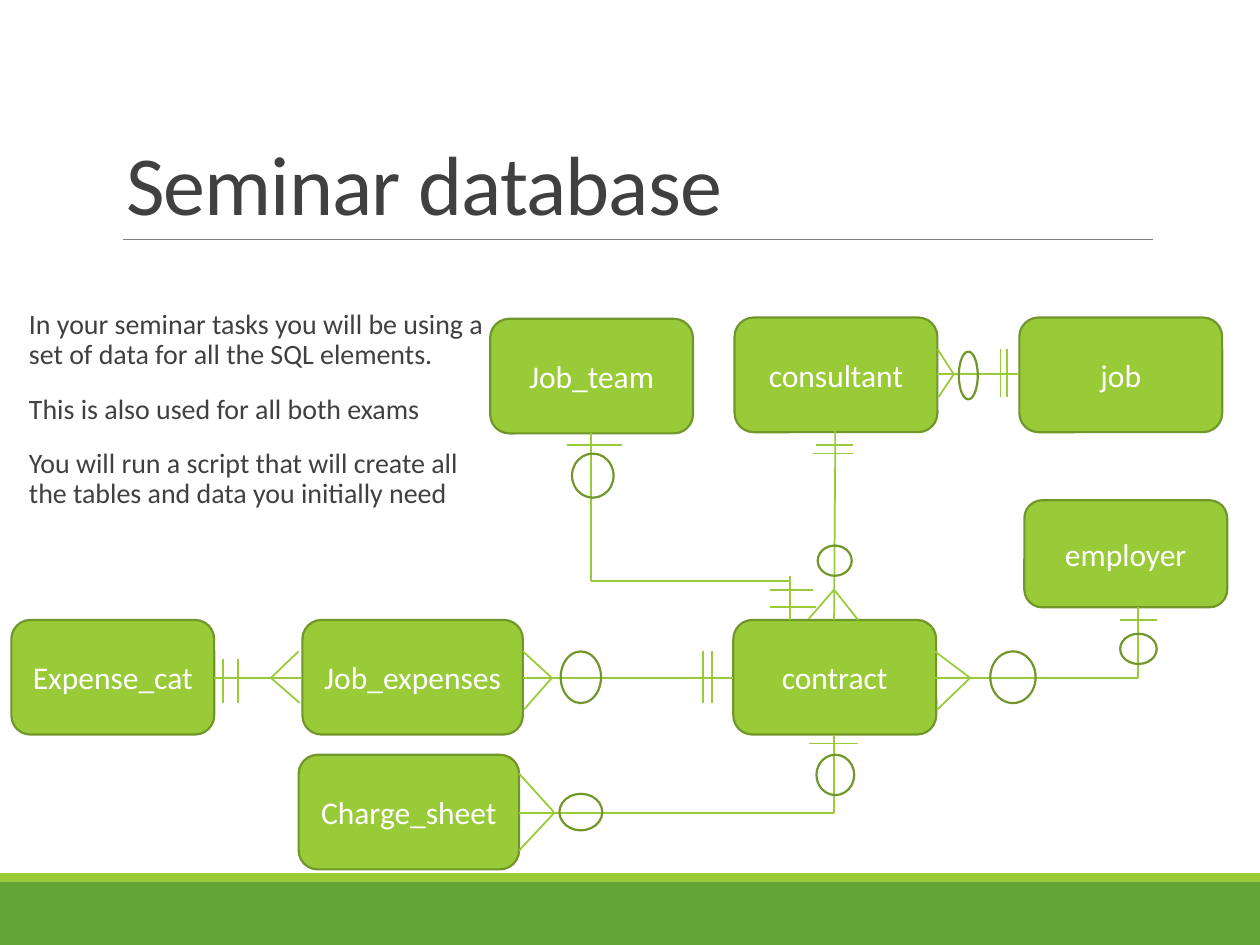
import pptx
import pptx.util
import pptx.dml.color
import pptx.enum.shapes
import pptx.enum.text
import pptx.oxml.ns
import lxml.etree

Inches, Pt = pptx.util.Inches, pptx.util.Pt
RGB = pptx.dml.color.RGBColor
SHAPE = pptx.enum.shapes.MSO_SHAPE
ANCHOR = pptx.enum.text.MSO_ANCHOR
ALIGN = pptx.enum.text.PP_ALIGN
qn = pptx.oxml.ns.qn

LIME = RGB(0x99, 0xCB, 0x38)
OLIVE = RGB(0x71, 0x96, 0x29)
GREEN = RGB(0x63, 0xA5, 0x37)
GRAY = RGB(0x80, 0x80, 0x80)
DARK = RGB(0x40, 0x40, 0x40)
WHITE = RGB(0xFF, 0xFF, 0xFF)
FONT = "Calibri"

# Entity boxes: left, top, width, height
ENTITIES = {
    "Expense_cat": (0.09, 4.92, 1.61, 0.91),
    "consultant": (5.83, 2.52, 1.61, 0.91),
    "job": (8.09, 2.52, 1.61, 0.91),
    "Job_team": (3.89, 2.53, 1.61, 0.91),
    "employer": (8.13, 3.97, 1.61, 0.85),
    "contract": (5.82, 4.92, 1.61, 0.91),
    "Charge_sheet": (2.37, 5.99, 1.75, 0.91),
    "Job_expenses": (2.4, 4.92, 1.75, 0.91),
}
# Each relationship is a path of points
RELATIONSHIPS = [
    [(5.82, 5.38), (4.15, 5.38)],
    [(6.62, 5.83), (6.62, 6.45), (4.12, 6.45)],
    [(4.69, 3.44), (4.69, 4.61), (6.27, 4.61)],
    [(6.27, 4.57), (6.27, 4.92)],
    [(7.42, 5.38), (9.03, 5.38), (9.03, 4.82)],
    [(8.09, 2.97), (7.44, 2.97)],
    [(6.63, 3.42), (6.62, 4.92)],
    [(2.4, 5.38), (1.7, 5.38)],
]
# "Many" ends: toe, tip, toe
CROW_FEET = [
    [(2.37, 5.17), (2.15, 5.38), (2.38, 5.58)],
    [(4.12, 6.14), (4.4, 6.45), (4.12, 6.75)],
    [(7.42, 5.17), (7.7, 5.38), (7.44, 5.63)],
    [(4.15, 5.17), (4.38, 5.38), (4.16, 5.63)],
    [(6.42, 4.91), (6.62, 4.68), (6.81, 4.92)],
    [(7.44, 2.77), (7.57, 2.97), (7.45, 3.15)],
]
# "One" ends: bars across a vertical link (y, x1, x2) or a horizontal one (x, y1, y2)
FLAT_BARS = [(5.9, 6.42, 6.81), (4.92, 8.89, 9.18), (4.82, 6.11, 6.48), (4.68, 6.11, 6.45),
             (3.53, 4.5, 4.94), (3.53, 6.48, 6.77), (3.6, 6.45, 6.77)]
UPRIGHT_BARS = [(1.77, 5.23, 5.58), (1.89, 5.23, 5.58), (5.58, 5.17, 5.58),
                (5.65, 5.17, 5.58), (7.94, 2.77, 3.15), (7.99, 2.77, 3.15)]
# "Optional" rings: left, top, width, height
RINGS = [(4.44, 6.3, 0.34, 0.29), (6.48, 5.99, 0.3, 0.32), (7.86, 5.17, 0.36, 0.41),
         (8.89, 5.03, 0.29, 0.24), (4.45, 5.17, 0.32, 0.41), (4.54, 3.6, 0.33, 0.35),
         (6.49, 4.33, 0.27, 0.24), (7.61, 2.79, 0.15, 0.38)]


def inches(values):
    return [Inches(v) for v in values]


def style_text(p, size, color):
    for r in p.runs:
        r.font.name, r.font.size = FONT, Pt(size)
        r.font.color.rgb = color


def add_box(s, kind, box, fill=None, line=None):
    sp = s.shapes.add_shape(kind, *inches(box))
    sp.shadow.inherit = False
    if fill is None:
        sp.fill.background()
    else:
        sp.fill.solid()
        sp.fill.fore_color.rgb = fill
    if line is None:
        sp.line.fill.background()
    else:
        sp.line.color.rgb, sp.line.width = line, Pt(1.25)
    return sp


def add_path(s, points, color=LIME, width=1):
    for start, end in zip(points, points[1:]):
        cn = s.shapes.add_connector(pptx.enum.shapes.MSO_CONNECTOR.STRAIGHT,
                                    *inches(start + end))
        cn.line.color.rgb, cn.line.width = color, Pt(width)
        lxml.etree.SubElement(cn._element.spPr, qn("a:effectLst"))


def place(ph, box):
    ph.left, ph.top, ph.width, ph.height = inches(box)
    tf = ph.text_frame
    tf.word_wrap = True
    tf.auto_size = pptx.enum.text.MSO_AUTO_SIZE.NONE
    return tf


def add_footer_band(s, left, top, width, height):
    stripe = 0.07
    add_box(s, SHAPE.RECTANGLE, (left, top + stripe, width, height - stripe), GREEN)
    add_box(s, SHAPE.RECTANGLE, (left, top, width, stripe), LIME)


def add_title(s, box, text):
    left, top, width, height = box
    bottom = top + height
    add_path(s, [(left + 0.08, bottom), (left + width, bottom)], GRAY, 0.5)
    tf = place(s.shapes.title, box)
    tf.text = text
    tf.vertical_anchor = ANCHOR.BOTTOM
    p = tf.paragraphs[0]
    p.alignment, p.line_spacing = ALIGN.LEFT, 0.85
    style_text(p, 48, DARK)
    p.runs[0].font._element.set("spc", "-50")


def add_body(s, box, lines):
    tf = place(s.placeholders[1], box)
    tf.margin_left = tf.margin_right = 0
    tf.vertical_anchor = ANCHOR.TOP
    tf.text = "\n".join(lines)
    for p in tf.paragraphs:
        p.line_spacing, p.space_before, p.space_after = 0.9, Pt(12), Pt(2)
        style_text(p, 16, DARK)
        pPr = p._p.get_or_add_pPr()
        pPr.set("marL", str(Inches(0.1)))
        pPr.set("indent", str(-Inches(0.1)))
        lxml.etree.SubElement(pPr, qn("a:buChar"), char=" ")


def add_entity(s, name, box):
    sp = add_box(s, SHAPE.ROUNDED_RECTANGLE, box, LIME, OLIVE)
    tf = sp.text_frame
    tf.text = name
    tf.word_wrap = True
    tf.vertical_anchor = ANCHOR.MIDDLE
    tf.paragraphs[0].alignment = ALIGN.CENTER
    style_text(tf.paragraphs[0], 18, WHITE)


def add_diagram(s):
    for name, box in ENTITIES.items():
        add_entity(s, name, box)
    for points in RELATIONSHIPS + CROW_FEET:
        add_path(s, points)
    for y, x1, x2 in FLAT_BARS:
        add_path(s, [(x1, y), (x2, y)])
    for x, y1, y2 in UPRIGHT_BARS:
        add_path(s, [(x, y1), (x, y2)])
    for box in RINGS:
        add_box(s, SHAPE.OVAL, box, line=OLIVE)


prs = pptx.Presentation()
prs.slide_width, prs.slide_height = Inches(10), Inches(7.5)
s = prs.slides.add_slide(prs.slide_layouts[1])

add_footer_band(s, 0, 6.93, 10, 0.57)
add_title(s, (0.9, 0.31, 8.25, 1.59), "Seminar database")
add_body(s, (0.13, 2.41, 3.74, 1.93), [
    "In your seminar tasks you will be using a set of data for all the SQL elements.",
    "This is also used for all both exams",
    "You will run a script that will create all the tables and data you initially need",
])
add_diagram(s)

prs.save("out.pptx")
